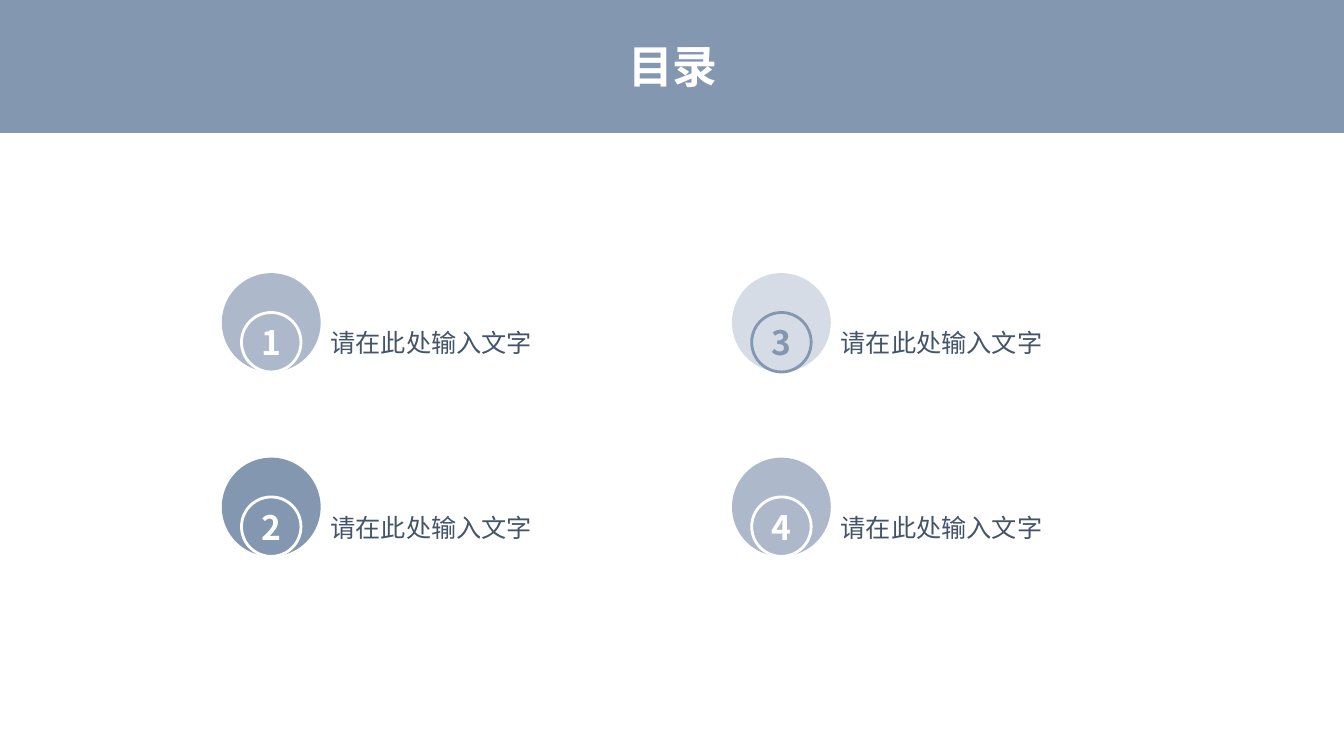
from pptx import Presentation
from pptx.dml.color import RGBColor
from pptx.enum.shapes import MSO_SHAPE
from pptx.enum.text import MSO_ANCHOR, MSO_AUTO_SIZE, PP_ALIGN
from pptx.oxml.ns import qn
from pptx.util import Inches, Pt
from lxml import etree

RECT, OVAL = MSO_SHAPE.RECTANGLE, MSO_SHAPE.OVAL
MIDDLE, CENTER = MSO_ANCHOR.MIDDLE, PP_ALIGN.CENTER
GROW = MSO_AUTO_SIZE.SHAPE_TO_FIT_TEXT

TITLE = "目录"
# label, disc colour, ring colour; filled down each column
ITEMS = [
    ("请在此处输入文字", "mid", "white"),
    ("请在此处输入文字", "deep", "white"),
    ("请在此处输入文字", "pale", "deep"),
    ("请在此处输入文字", "mid", "white"),
]
THEME = {
    "white": "FFFFFF", "deep": "8497B0", "mid": "ADB9CA",
    "pale": "D6DCE5", "ink": "44546A",
    "font": "Noto Sans CJK SC", "digit": "Noto Sans CJK KR",
    "title": 32, "number": 24, "label": 18, "ring": 2,
}
WIDTH, HEIGHT = 13.33, 7.5
ROWS = 2
LEFT, TOP = 2.2, 2.71
COL, ROW = 5.06, 1.83
DISC, RING = 0.98, 0.59
LABEL = (2.89, 0.4)


def color(name):
    """Look up a theme colour."""
    return RGBColor.from_string(THEME[name])


def write(shape, text, size, tint, font="font", bold=False):
    """Add one styled run to a shape and return its paragraph."""
    para = shape.text_frame.paragraphs[0]
    run = para.add_run()
    run.text = text
    run.font.size = Pt(THEME[size])
    run.font.bold = bold
    run.font.color.rgb = color(tint)
    run.font.name = THEME[font]
    east = etree.SubElement(run.font._element, qn("a:ea"))
    east.set("typeface", THEME[font])
    return para


def draw(parent, kind, box, fill=None, line=None):
    """Add a preset shape with an optional fill and line."""
    shape = parent.add_shape(kind, *map(Inches, box))
    shape.shadow.inherit = False
    if fill:
        shape.fill.solid()
        shape.fill.fore_color.rgb = color(fill)
    else:
        shape.fill.background()
    if line:
        shape.line.color.rgb = color(line)
        shape.line.width = Pt(THEME["ring"])
    else:
        shape.line.fill.background()
    return shape


def center(shape, *style):
    """Write bold text in the middle of a shape."""
    shape.text_frame.vertical_anchor = MIDDLE
    write(shape, *style, bold=True).alignment = CENTER


def badge(slide, left, top, number, fill, tint):
    """Group a disc with the numbered ring at its foot."""
    group = slide.shapes.add_group_shape().shapes
    draw(group, OVAL, (left, top, DISC, DISC), fill)
    inset = (DISC - RING) / 2
    ring = draw(group, OVAL, (left + inset, top + 2 * inset, RING, RING),
                line=tint)
    center(ring, number, "number", tint, "digit")


def label(slide, left, top, text):
    """Add an item's label, level with its ring."""
    box = slide.shapes.add_textbox(*map(Inches, (left, top, *LABEL)))
    box.text_frame.word_wrap = True
    box.text_frame.auto_size = GROW
    write(box, text, "label", "ink")


def main():
    """Build and save the contents slide."""
    deck = Presentation()
    deck.slide_width, deck.slide_height = Inches(WIDTH), Inches(HEIGHT)
    slide = deck.slides.add_slide(deck.slide_layouts[6])
    band = draw(slide.shapes, RECT, (0, -0.02, WIDTH + 0.02, 1.34), "deep")
    center(band, TITLE, "title", "white")
    for index, (text, fill, tint) in enumerate(ITEMS):
        col, row = divmod(index, ROWS)
        left, top = LEFT + col * COL, TOP + row * ROW
        badge(slide, left, top, str(index + 1), fill, tint)
        label(slide, left + DISC, top + DISC / 2, text)
    deck.save("out.pptx")


main()
